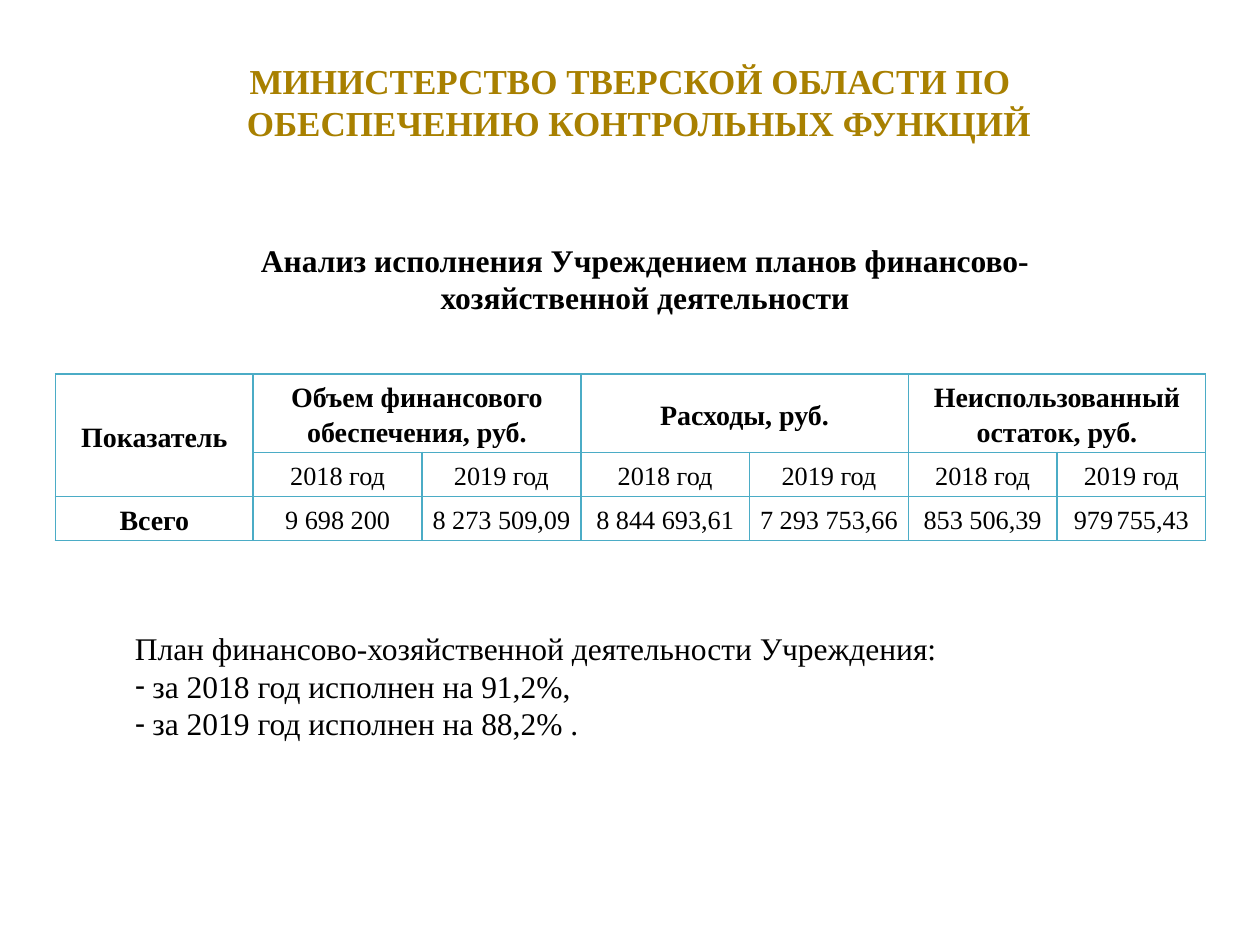
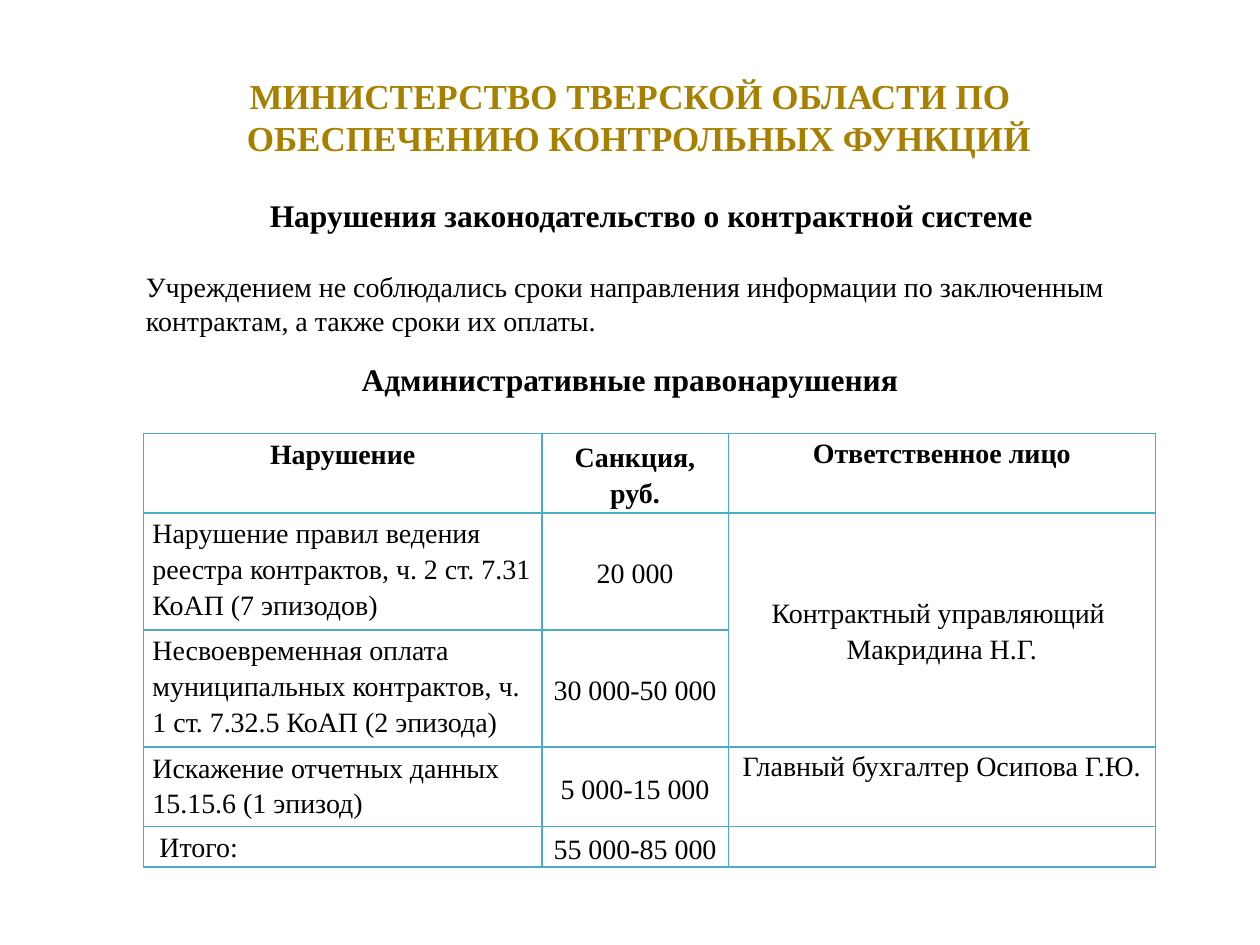
from lxml import etree
from pptx import Presentation
from pptx.dml.color import RGBColor
from pptx.enum import text
from pptx.oxml import ns
from pptx.util import Inches, Pt

FONT = "Times New Roman"
GOLD, BLACK, WHITE, TEAL = "A88000", "000000", "FFFFFF", "4BACC6"
LEFT, CENTER = text.PP_ALIGN.LEFT, text.PP_ALIGN.CENTER
TOP, MIDDLE = text.MSO_ANCHOR.TOP, text.MSO_ANCHOR.MIDDLE

MINISTRY = ["МИНИСТЕРСТВО ТВЕРСКОЙ ОБЛАСТИ ПО", "ОБЕСПЕЧЕНИЮ КОНТРОЛЬНЫХ ФУНКЦИЙ"]

BUDGET_HEADING = "Анализ исполнения Учреждением планов финансово-хозяйственной деятельности"
YEARS = ["2018 год", "2019 год"]
BUDGET_ROWS = [
    ["Показатель", "Объем финансового обеспечения, руб.", None, "Расходы, руб.", None,
     "Неиспользованный остаток, руб.", None],
    [None] + YEARS * 3,
    ["Всего", "9 698 200", "8 273 509,09", "8 844 693,61", "7 293 753,66", "853 506,39",
     [("979", 15), (" ", 8), ("755,43", 15)]],
]
BUDGET_MERGES = [((0, 0), (1, 0)), ((0, 1), (0, 2)), ((0, 3), (0, 4)), ((0, 5), (0, 6))]
PLAN_INTRO = "План финансово-хозяйственной деятельности Учреждения:"
PLAN_RESULTS = ["за 2018 год исполнен на 91,2%,", "за 2019 год исполнен на 88,2% ."]

CONTRACT_HEADING = "Нарушения законодательство о контрактной системе"
CONTRACT_FINDING = ("Учреждением не соблюдались сроки направления информации по заключенным "
                    "контрактам, а также сроки их оплаты.")
OFFENCE_HEADING = "Административные правонарушения"
OFFENCE_ROWS = [
    ["Нарушение", "Санкция, руб.", "Ответственное лицо"],
    ["Нарушение правил ведения реестра контрактов, ч. 2 ст. 7.31 КоАП (7 эпизодов)",
     "20 000", "Контрактный управляющий \nМакридина Н.Г."],
    ["Несвоевременная оплата муниципальных контрактов, ч. 1 ст. 7.32.5 КоАП (2 эпизода)",
     "30 000-50 000", None],
    ["Искажение отчетных данных\n15.15.6 (1 эпизод)", "5 000-15 000",
     " Главный бухгалтер Осипова Г.Ю. "],
    [" Итого:", "55 000-85 000", ""],
]
OFFENCE_MERGES = [((1, 2), (2, 2))]


def color(code):
    return RGBColor.from_string(code)


def put_text(frame, lines, size=18, bold=False, ink=BLACK, align=LEFT, spacing=None):
    """Write one paragraph per line; a line is a string or a list of (text, size) spans."""
    for index, line in enumerate(lines):
        para = frame.paragraphs[0] if index == 0 else frame.add_paragraph()
        para.alignment = align
        para.space_before = Pt(0)
        if spacing:
            para.line_spacing = spacing
        for words, points in [(line, size)] if isinstance(line, str) else line:
            span = para.add_run()
            span.text = words
            span.font.name, span.font.size, span.font.bold = FONT, Pt(points), bold
            span.font.color.rgb = color(ink)
    return frame


def place(shape, left, top, width, height):
    shape.left, shape.top = Inches(left), Inches(top)
    shape.width, shape.height = Inches(width), Inches(height)


def set_indent(para, margin, hanging=0, bullet=None):
    props = para._p.get_or_add_pPr()
    props.set("marL", str(Inches(margin)))
    props.set("indent", str(-Inches(hanging)))
    if bullet:
        etree.SubElement(props, ns.qn("a:buChar"), char=bullet)
    else:
        etree.SubElement(props, ns.qn("a:buNone"))


def add_page(deck, layout, title_top):
    page = deck.slides.add_slide(deck.slide_layouts[layout])
    title = page.shapes.title
    place(title, 0.5, title_top, 9, 1.25)
    put_text(title.text_frame, MINISTRY, size=20, bold=True, ink=GOLD, align=CENTER)
    set_indent(title.text_frame.paragraphs[1], 0.14)
    return page


def add_text(page, line, left, top, width, height, **style):
    box = page.shapes.add_textbox(*map(Inches, (left, top, width, height)))
    box.text_frame.word_wrap = True
    put_text(box.text_frame, [line], **style)


def add_heading(page, line, *area):
    add_text(page, line, *area, bold=True, align=CENTER)


def add_borders(cell):
    props = cell._tc.get_or_add_tcPr()
    for index, side in enumerate(("lnL", "lnR", "lnT", "lnB")):
        line = etree.Element(ns.qn("a:" + side), w=str(Pt(1)))
        fill = etree.SubElement(line, ns.qn("a:solidFill"))
        etree.SubElement(fill, ns.qn("a:srgbClr"), val=TEAL)
        props.insert(index, line)


def add_grid(page, left, top, widths, heights, rows, merges, cell_style):
    """cell_style(row, column) returns the anchor, side inset, top inset and text format."""
    frame = page.shapes.add_table(len(rows), len(widths), *map(
        Inches, (left, top, sum(widths), sum(heights))))
    table = frame.table
    table.first_row = table.horz_banding = False
    for column, width in zip(table.columns, widths):
        column.width = Inches(width)
    for row, height in zip(table.rows, heights):
        row.height = Inches(height)
    for start, end in merges:
        table.cell(*start).merge(table.cell(*end))
    for r, row in enumerate(rows):
        for c, content in enumerate(row):
            cell = table.cell(r, c)
            anchor, side, upper, style = cell_style(r, c)
            cell.vertical_anchor = anchor
            cell.margin_left = cell.margin_right = Inches(side)
            cell.margin_top, cell.margin_bottom = Inches(upper), 0
            cell.fill.solid()
            cell.fill.fore_color.rgb = color(WHITE)
            add_borders(cell)
            if content:
                lines = content.split("\n") if isinstance(content, str) else [content]
                put_text(cell.text_frame, lines, spacing=1.15, **style)


def budget_style(row, column):
    label = row == 0 or column == 0
    return MIDDLE, 0.07, 0, dict(size=16 if label else 15, bold=label, align=CENTER)


def offence_style(row, column):
    is_person = column == 2
    anchor = MIDDLE if column == 1 or (is_person and row == 1) else TOP
    align = LEFT if column == 0 and row else CENTER
    return (anchor, 0 if is_person else 0.07, 0 if is_person else 0.01,
            dict(size=16, bold=row == 0, align=align))


def build_budget_page(deck):
    page = add_page(deck, 1, 0.18)
    add_heading(page, BUDGET_HEADING, 1.85, 1.86, 6.54, 0.71)
    add_grid(page, 0.44, 2.97, [1.57] + [1.34, 1.26] * 2 + [1.18] * 2, [0.62, 0.35, 0.35],
             BUDGET_ROWS, BUDGET_MERGES, budget_style)
    plan = page.placeholders[1]
    place(plan, 0.47, 4.94, 9, 1.31)
    frame = put_text(plan.text_frame, [PLAN_INTRO] + PLAN_RESULTS)
    frame.auto_size = text.MSO_AUTO_SIZE.NONE
    intro, *results = frame.paragraphs
    set_indent(intro, 0.5)
    for para in results:
        set_indent(para, 0.64, 0.14, "-")


def build_offence_page(deck):
    page = add_page(deck, 5, 0.3)
    add_heading(page, CONTRACT_HEADING, 0.67, 1.51, 9, 0.5)
    add_text(page, CONTRACT_FINDING, 1.06, 2.09, 8.19, 0.64, size=16)
    add_heading(page, OFFENCE_HEADING, 0.5, 2.81, 9, 0.5)
    add_grid(page, 1.14, 3.44, [3.16, 1.48, 3.39], [0.63, 0.93, 0.93, 0.63, 0.32],
             OFFENCE_ROWS, OFFENCE_MERGES, offence_style)


def main():
    deck = Presentation()
    deck.slide_width, deck.slide_height = Inches(10), Inches(7.5)
    build_budget_page(deck)
    build_offence_page(deck)
    deck.save("out.pptx")


if __name__ == "__main__":
    main()
